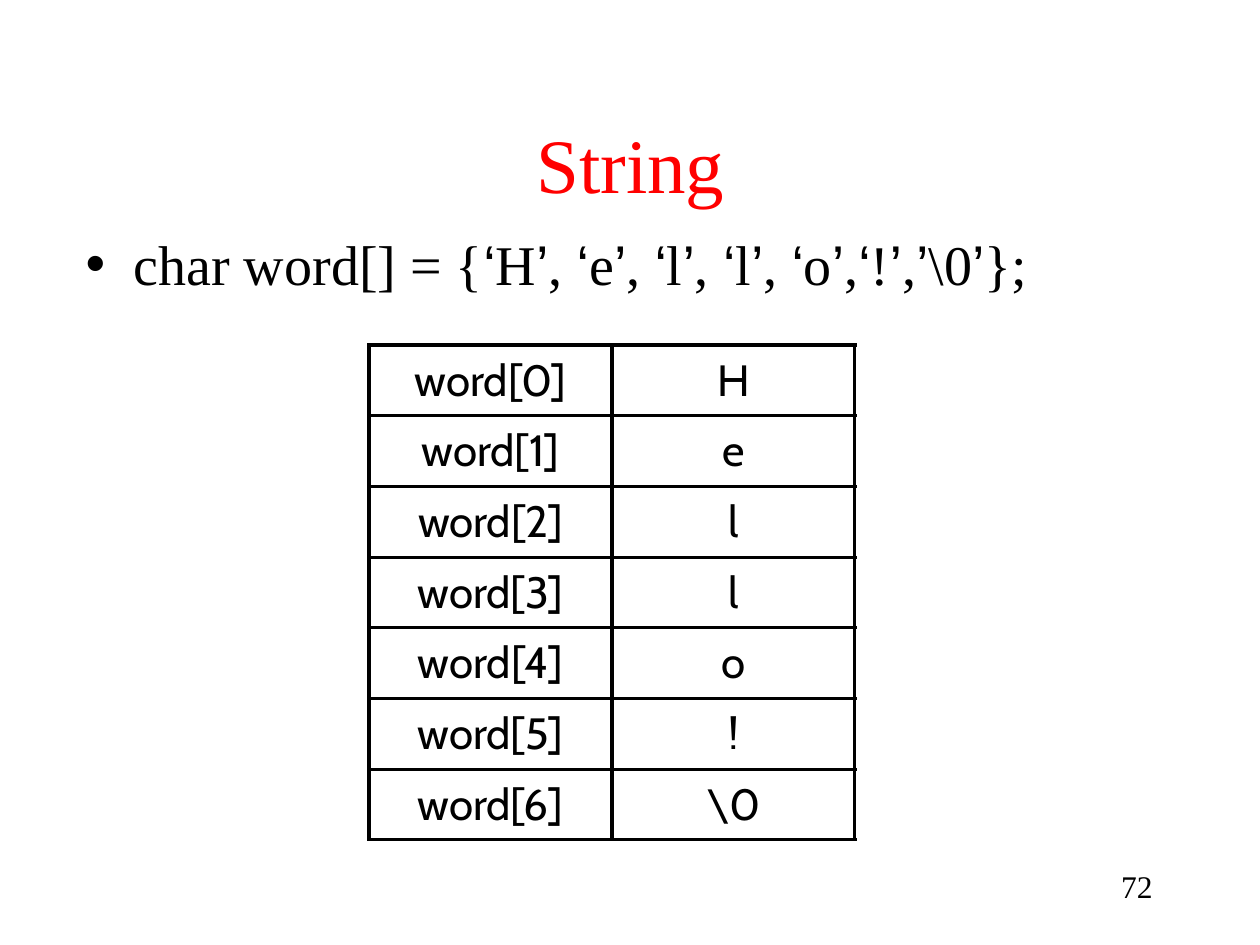
from itertools import groupby

from lxml.etree import SubElement
from pptx import Presentation
from pptx.dml.color import RGBColor
from pptx.enum.text import MSO_ANCHOR as Anchor, MSO_AUTO_SIZE as Fit, PP_ALIGN as Align
from pptx.oxml.ns import qn
from pptx.util import Pt

SCALE = 914400 / 126
SERIF, SANS, QUOTE = "Times New Roman", "Cabin", "Arial"
BLACK, RED = "000000", "FF0000"
CODE = "char word[] = {‘H’, ‘e’, ‘l’, ‘l’, ‘o’,‘!’,’\\0’};"
CHARS = ["H", "e", "l", "l", "o", "!", "\\0"]


def px(n):
    return round(n * SCALE)


def tint(color, value):
    color.rgb = RGBColor.from_string(value)


def place(shape, box):
    shape.left, shape.top, shape.width, shape.height = map(px, box)


def add_run(para, text, size, font=SERIF, color=BLACK):
    run = para.add_run()
    run.text = text
    run.font.size, run.font.name = Pt(size), font
    tint(run.font.color, color)


def add_title(slide, box, text):
    shape = slide.shapes.title
    place(shape, box)
    frame = shape.text_frame
    frame.auto_size = Fit.NONE
    frame.vertical_anchor = Anchor.MIDDLE
    para = frame.paragraphs[0]
    para.alignment = Align.CENTER
    add_run(para, text, 44, color=RED)


def add_code(slide, box, text):
    """Fill the body with one bullet whose quote marks have their own font."""
    shape = slide.placeholders[1]
    place(shape, box)
    frame = shape.text_frame
    frame.auto_size = Fit.NONE
    para = frame.paragraphs[0]
    props = para._p.get_or_add_pPr()
    props.set("marL", str(px(86)))
    props.set("indent", str(px(-48)))
    SubElement(props, qn("a:buChar"), char="•")
    for quoted, part in groupby(text, lambda c: c in "‘’"):
        add_run(para, "".join(part), 32, QUOTE if quoted else SERIF)


def add_edges(cell):
    props = cell._tc.get_or_add_tcPr()
    for side in "LRTB":
        line = SubElement(props, qn(f"a:ln{side}"), w=str(Pt(2)))
        fill = SubElement(line, qn("a:solidFill"))
        SubElement(fill, qn("a:srgbClr"), val=BLACK)


def fill_cell(cell, text):
    add_edges(cell)
    cell.fill.background()
    cell.vertical_anchor = Anchor.MIDDLE
    cell.margin_left = cell.margin_right = px(5)
    cell.margin_top = cell.margin_bottom = px(5)
    para = cell.text_frame.paragraphs[0]
    para.alignment = Align.CENTER
    add_run(para, text, 25, SANS)


def add_array(slide, box, chars):
    """Show each array slot beside the character it holds."""
    table = slide.shapes.add_table(len(chars), 2, *map(px, box)).table
    table.first_row = table.horz_banding = False
    for i, char in enumerate(chars):
        fill_cell(table.cell(i, 0), f"word[{i}]")
        fill_cell(table.cell(i, 1), char)


def add_number(slide, box, text):
    frame = slide.shapes.add_textbox(*map(px, box)).text_frame
    frame.word_wrap = True
    para = frame.paragraphs[0]
    para.alignment = Align.RIGHT
    add_run(para, text, 18)


def main():
    deck = Presentation()
    deck.slide_width, deck.slide_height = px(1260), px(945)
    slide = deck.slides.add_slide(deck.slide_layouts[1])
    add_title(slide, (95, 84, 1071, 158), "String")
    add_code(slide, (35, 223, 1225, 88), CODE)
    add_array(slide, (369, 345, 486, 495), CHARS)
    add_number(slide, (903, 861, 262, 63), "72")
    deck.save("out.pptx")


if __name__ == "__main__":
    main()
